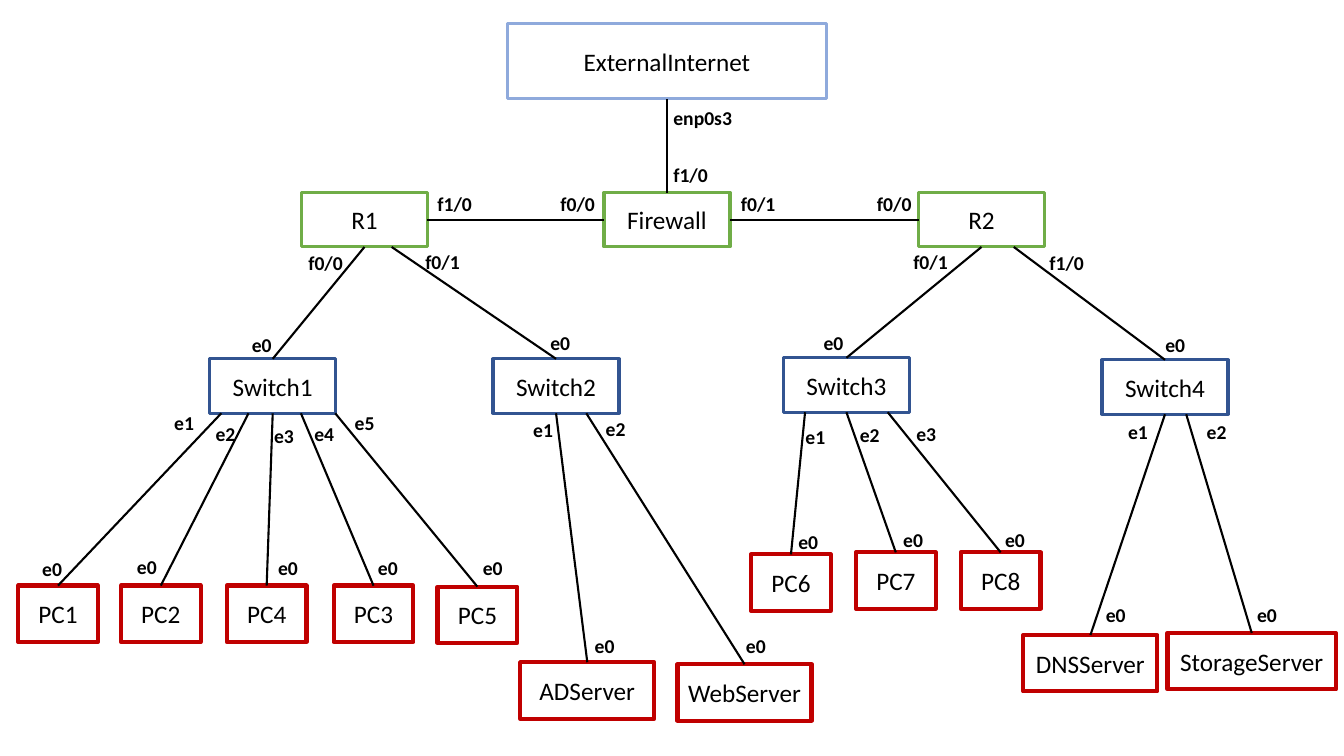
from dataclasses import dataclass
from lxml import etree
from pptx import Presentation
from pptx.dml.color import RGBColor
from pptx.enum.shapes import MSO_CONNECTOR, MSO_SHAPE
from pptx.enum.text import MSO_ANCHOR, MSO_AUTO_SIZE, PP_ALIGN
from pptx.oxml.ns import qn
from pptx.util import Inches, Pt

RECT, LINE = MSO_SHAPE.RECTANGLE, MSO_CONNECTOR.STRAIGHT
MIDDLE, CENTER, LEFT = MSO_ANCHOR.MIDDLE, PP_ALIGN.CENTER, PP_ALIGN.LEFT
GROW = MSO_AUTO_SIZE.SHAPE_TO_FIT_TEXT
TOP, WEST, BOTTOM, EAST = range(4)


@dataclass(frozen=True)
class Theme:
    ink: RGBColor = RGBColor(0, 0, 0)
    paper: RGBColor = RGBColor(255, 255, 255)
    cloud: RGBColor = RGBColor(0x8F, 0xAA, 0xDC)
    router: RGBColor = RGBColor(0x70, 0xAD, 0x47)
    switch: RGBColor = RGBColor(0x32, 0x54, 0x91)
    host: RGBColor = RGBColor(0xC0, 0, 0)
    edge: float = 2.25
    thick: float = 3
    wire: float = 1.5
    name: dict = None
    port: dict = None


THEME = Theme(
    name={"name": "Calibri", "size": Pt(18), "bold": False},
    port={"name": "Calibri", "size": Pt(14), "bold": True})

NODE_W, NODE_H, HOST_H, PORT_H = 1.25, 0.54, 0.56, 0.34
PORT_W = {2: 0.4, 4: 0.64, 6: 0.79}  # by number of letters

# Hosts: name, place from switch, width, wire start from centre,
# switch port place from switch, host port place from host
SWITCHES = [
    ("Switch1", (2.08, 3.56), (0.32, -0.31), [
        ("PC1", (-1.9, 2.25), 0.79, -0.51, (-0.45, 0.47), (0.14, -0.33)),
        ("PC2", (-0.88, 2.25), 0.79, -0.24, (-0.04, 0.58), (0.06, -0.35)),
        ("PC4", (0.17, 2.25), 0.79, 0, (0.54, 0.6), (0.41, -0.34)),
        ("PC3", (1.23, 2.25), 0.79, 0.28, (0.94, 0.58), (0.34, -0.34)),
        ("PC5", (2.26, 2.26), 0.79, 0.62, (1.34, 0.47), (0.35, -0.35))]),
    ("Switch2", (4.89, 3.56), (0.47, -0.33), [
        ("ADServer", (0.27, 3.01), 1.33, 0, (0.3, 0.54), (0.64, -0.33)),
        ("WebServer", (1.83, 3.03), 1.33, 0.3, (1.02, 0.53), (0.58, -0.35))]),
    ("Switch3", (7.77, 3.55), (0.3, -0.32), [
        ("PC6", (-0.32, 1.95), 0.79, -0.41, (0.12, 0.62), (0.37, -0.29)),
        ("PC7", (0.72, 1.93), 0.79, 0, (0.66, 0.6), (0.37, -0.29)),
        ("PC8", (1.76, 1.93), 0.79, 0.41, (1.22, 0.59), (0.34, -0.29))]),
    ("Switch4", (10.93, 3.57), (0.53, -0.32), [
        ("DNSServer", (-0.78, 2.73), 1.33, 0, (0.16, 0.55), (0.72, -0.37)),
        ("StorageServer", (0.65, 2.71), 1.67, 0.21, (0.94, 0.55), (0.79, -0.35))]),
]

# Router downlinks: wire start from centre, port, port place from router
DOWN = [
    [(0, "f0/0", (-0.03, 0.53)), (0.27, "f0/1", (1.13, 0.52))],
    [(0, "f0/1", (-0.15, 0.52)), (0.32, "f1/0", (1.2, 0.53))],
]

# Ports of the core, placed from the firewall
CORE = [("enp0s3", (0.59, -0.91)), ("f1/0", (0.59, -0.34)),
        ("f1/0", (-1.75, -0.06)), ("f0/0", (-0.53, -0.06)),
        ("f0/1", (1.26, -0.05)), ("f0/0", (2.61, -0.06))]


def shift(box, step):
    return box[0] + step[0], box[1] + step[1]


def write(frame, text, look, align):
    frame.word_wrap = False
    par = frame.paragraphs[0]
    par.alignment = align
    run = par.add_run()
    run.text = text
    for key, value in look.items():
        setattr(run.font, key, value)
    run.font.color.rgb = THEME.ink


def node(page, text, box, color, width=NODE_W, height=NODE_H, edge=THEME.edge):
    rect = page.shapes.add_shape(RECT, *map(Inches, (*box, width, height)))
    rect.shadow.inherit = False
    rect.fill.solid()
    rect.fill.fore_color.rgb = THEME.paper
    rect.line.color.rgb = color
    rect.line.width = Pt(edge)
    rect.text_frame.vertical_anchor = MIDDLE
    write(rect.text_frame, text, THEME.name, CENTER)
    return rect


def port(page, text, box):
    size = PORT_W[len(text)], PORT_H
    label = page.shapes.add_textbox(*map(Inches, (*box, *size)))
    write(label.text_frame, text, THEME.port, LEFT)
    label.text_frame.auto_size = GROW


def link(page, start, end, sides=(BOTTOM, TOP), dx=0):
    x = start.left + start.width // 2 + Inches(dx)
    wire = page.shapes.add_connector(
        LINE, x, start.top + start.height, end.left + end.width // 2, end.top)
    if dx == 0:
        wire.begin_connect(start, sides[0])
    wire.end_connect(end, sides[1])
    wire.line.color.rgb = THEME.ink
    wire.line.width = Pt(THEME.wire)
    etree.SubElement(wire.element.spPr, qn("a:effectLst"))


# Internet, firewall and the two routers
def core(page, box):
    cloud = node(page, "ExternalInternet", shift(box, (-0.96, -1.68)),
                 THEME.cloud, 3.17, 0.75)
    wall = node(page, "Firewall", box, THEME.router)
    west = node(page, "R1", shift(box, (-3, 0)), THEME.router)
    east = node(page, "R2", shift(box, (3.12, 0)), THEME.router)
    link(page, cloud, wall)
    link(page, wall, west, (WEST, EAST))
    link(page, wall, east, (EAST, WEST))
    for text, step in CORE:
        port(page, text, shift(box, step))
    return west, east


# One switch with its hosts
def branch(page, box, name, uplink, hosts):
    switch = node(page, name, box, THEME.switch)
    port(page, "e0", shift(box, uplink))
    for i, (text, step, width, dx, near, far) in enumerate(hosts, 1):
        spot = shift(box, step)
        host = node(page, text, spot, THEME.host, width, HOST_H, THEME.thick)
        link(page, switch, host, dx=dx)
        port(page, f"e{i}", shift(box, near))
        port(page, "e0", shift(spot, far))
    return switch


# Wires from a router to its switches
def fan(page, router, switches, down):
    box = router.left.inches, router.top.inches
    for switch, (dx, text, step) in zip(switches, down):
        link(page, router, switch, dx=dx)
        port(page, text, shift(box, step))


def main():
    deck = Presentation()
    deck.slide_width, deck.slide_height = Inches(13.33), Inches(7.5)
    page = deck.slides.add_slide(deck.slide_layouts[6])
    routers = core(page, (5.99, 1.91))
    switches = [branch(page, box, name, uplink, hosts)
                for name, box, uplink, hosts in SWITCHES]
    for i, router in enumerate(routers):
        fan(page, router, switches[2 * i:2 * i + 2], DOWN[i])
    deck.save("out.pptx")


if __name__ == "__main__":
    main()
